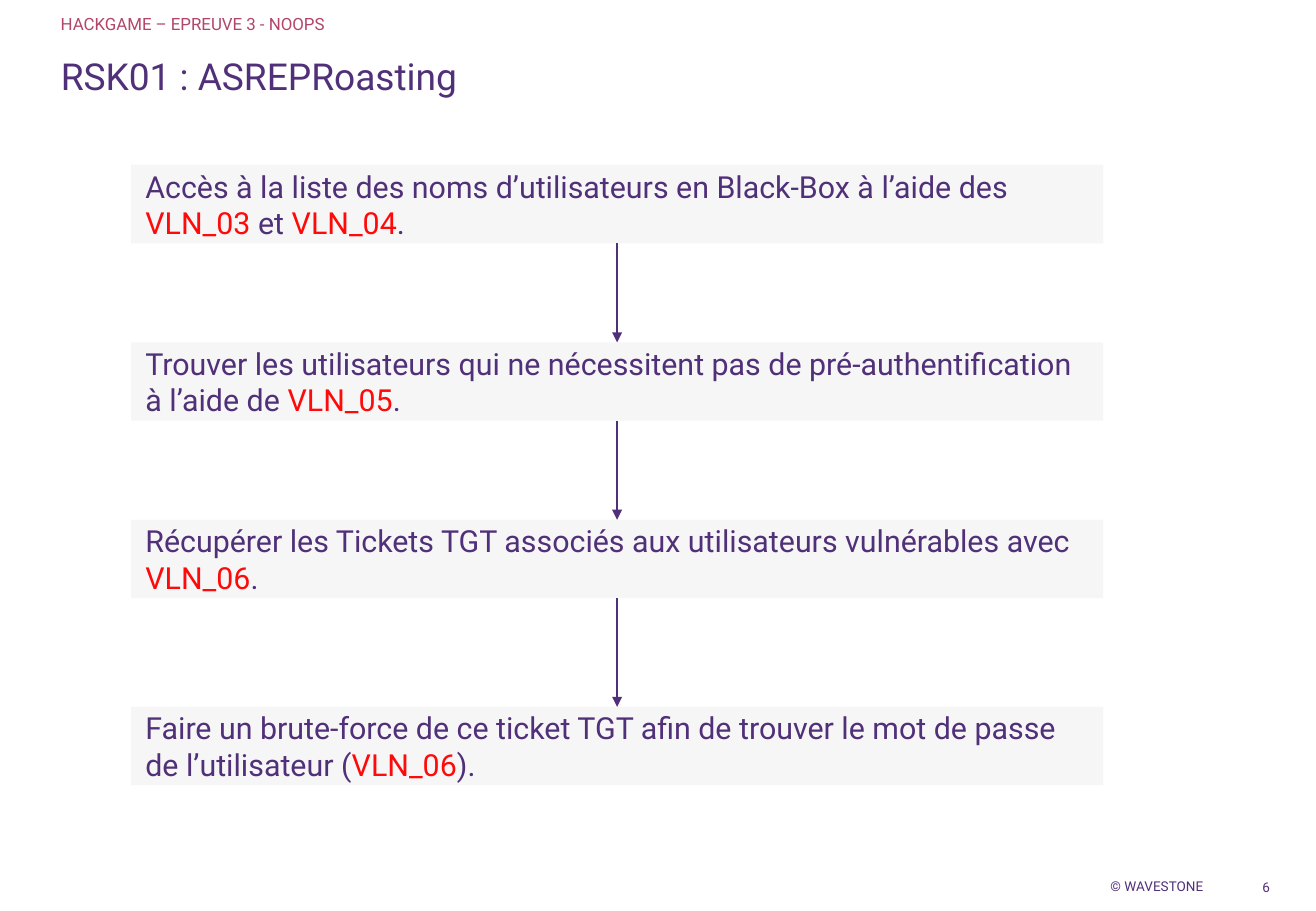
"""Build the ASREPRoasting attack-path slide."""
from dataclasses import dataclass

from pptx import Presentation
from pptx import util as u
from pptx.dml import color
from pptx.enum import shapes, text
from pptx.oxml import ns
from lxml import etree


@dataclass(frozen=True)
class Theme:
    font: str = "Roboto"
    ink: color.RGBColor = color.RGBColor(0x50, 0x30, 0x78)
    rose: color.RGBColor = color.RGBColor(0xB2, 0x46, 0x69)
    red: color.RGBColor = color.RGBColor(0xFF, 0x0A, 0x0A)
    grey: color.RGBColor = color.RGBColor(0xF6, 0xF6, 0xF6)
    title: int = 22
    step: int = 18
    head: int = 10
    foot: int = 8


theme = Theme()


def write(shape, words, size, ink, side=0.3, edge=0, anchor="TOP", align="LEFT"):
    """Fill a shape with one paragraph; words between bars turn red."""
    frame = shape.text_frame
    frame.word_wrap = True
    frame.auto_size = text.MSO_AUTO_SIZE.NONE
    frame.vertical_anchor = text.MSO_ANCHOR[anchor]
    frame.margin_left = frame.margin_right = u.Cm(side)
    frame.margin_top = frame.margin_bottom = u.Cm(edge)
    para = frame.paragraphs[0]
    para.alignment = text.PP_ALIGN[align]
    para.font.name = theme.font
    para.font.size = u.Pt(size)
    para.font.color.rgb = ink
    for i, part in enumerate(words.split("|")):
        run = para.add_run()
        run.text = part
        if i % 2:
            run.font.color.rgb = theme.red


deck = Presentation()
deck.slide_width, deck.slide_height = u.Cm(27.51), u.Cm(19.05)
slide = deck.slides.add_slide(deck.slide_layouts[5])

title = slide.shapes.title
title.left, title.top = u.Cm(0.97), u.Cm(1.12)
title.width, title.height = u.Cm(25.6), u.Cm(2.59)
write(title, "RSK01 : ASREPRoasting", theme.title, theme.ink)

labels = [
    ("HACKGAME – EPREUVE 3 - NOOPS", 0.97, 0.29, 25.6, theme.head, theme.rose, 0.3, "LEFT"),
    ("© WAVESTONE", 22.66, 18.36, 2.5, theme.foot, theme.ink, 0, "RIGHT"),
    ("6", 25.55, 18.38, 1, theme.foot, theme.ink, 0, "RIGHT"),
]
for words, left, top, width, size, ink, side, align in labels:
    label = slide.shapes.add_textbox(u.Cm(left), u.Cm(top), u.Cm(width), u.Cm(0.5))
    write(label, words, size, ink, side, align=align)

steps = [
    (3.45, "Accès à la liste des noms d’utilisateurs en Black-Box à l’aide des "
           "|VLN_03 |et |VLN_04|."),
    (7.16, "Trouver les utilisateurs qui ne nécessitent pas de pré-authentification "
           "à l’aide de |VLN_05|."),
    (10.87, "Récupérer les Tickets TGT associés aux utilisateurs vulnérables avec "
            "|VLN_06|."),
    (14.78, "Faire un brute-force de ce ticket TGT afin de trouver le mot de passe "
            "de l’utilisateur (|VLN_06|)."),
]
boxes = []
for top, words in steps:
    box = slide.shapes.add_shape(
        shapes.MSO_SHAPE.RECTANGLE, u.Cm(2.74), u.Cm(top), u.Cm(20.32), u.Cm(1.64))
    box.shadow.inherit = False
    box.fill.solid()
    box.fill.fore_color.rgb = theme.grey
    box.line.fill.background()
    write(box, words, theme.step, theme.ink, edge=0.2, anchor="MIDDLE")
    boxes.append(box)

for upper, lower in zip(boxes, boxes[1:]):
    arrow = slide.shapes.add_connector(shapes.MSO_CONNECTOR.STRAIGHT, 0, 0, 0, 0)
    arrow.begin_connect(upper, 2)
    arrow.end_connect(lower, 0)
    arrow.line.color.rgb = theme.ink
    arrow.line.width = u.Pt(0.75)
    etree.SubElement(arrow.line._get_or_add_ln(), ns.qn("a:tailEnd"), type="triangle")
    etree.SubElement(arrow._element.spPr, ns.qn("a:effectLst"))

deck.save("out.pptx")
